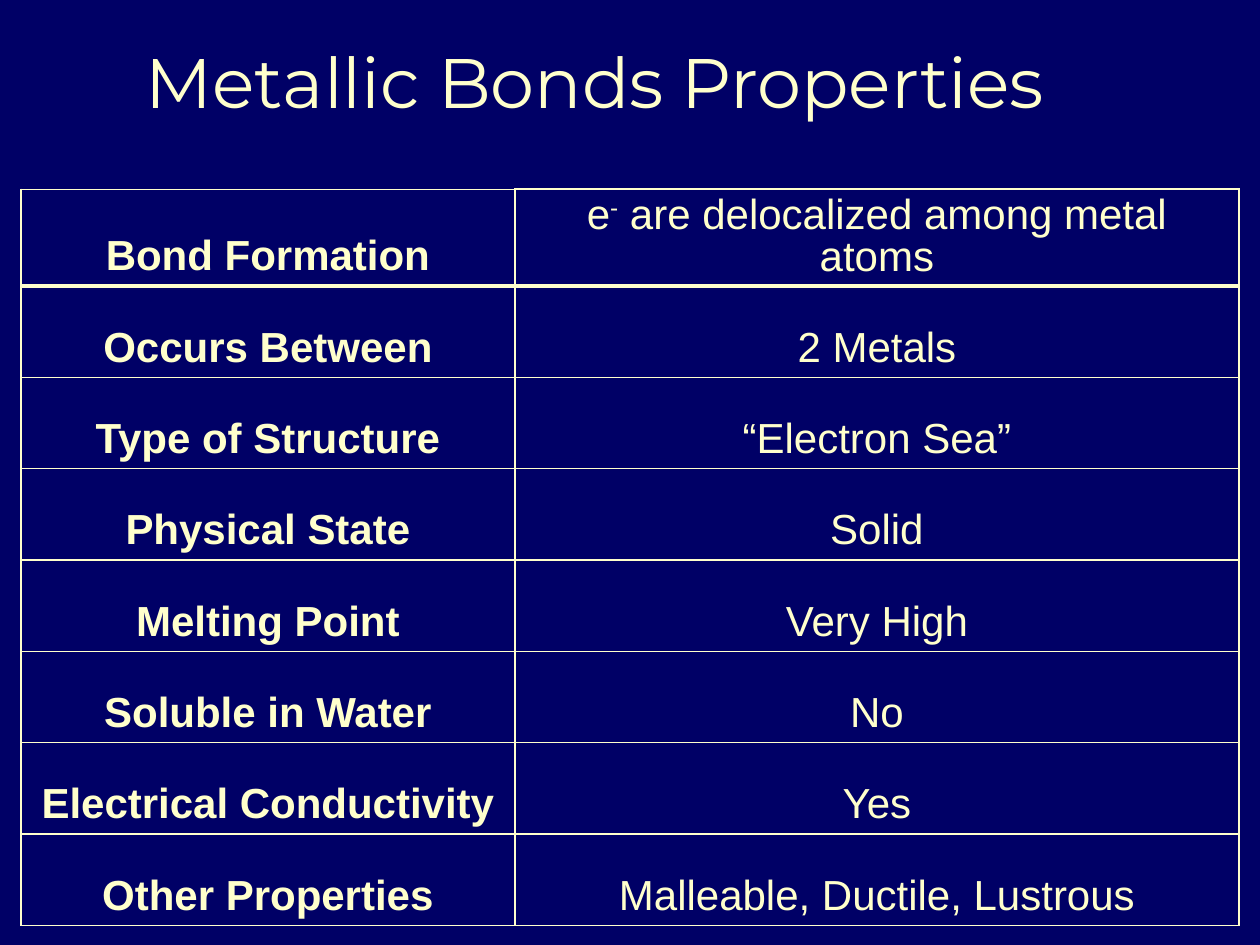
from dataclasses import dataclass

from lxml.etree import SubElement
from pptx import Presentation
from pptx.dml.color import RGBColor
from pptx.enum.text import MSO_ANCHOR, PP_ALIGN
from pptx.oxml.ns import qn
from pptx.util import Inches, Pt


@dataclass(frozen=True)
class Theme:
    background: str = "000066"
    cream: str = "FFFFCC"
    title_font: str = "Montserrat"
    body_font: str = "Arial"
    title_size: int = 40
    body_size: int = 24
    thin: float = 0.5
    line: float = 1
    thick: float = 3


PROPERTIES = [
    ("Bond Formation", ["e", ("-", 30), " are delocalized among metal atoms"]),
    ("Occurs Between", "2 Metals"),
    ("Type of Structure", "“Electron Sea”"),
    ("Physical State", "Solid"),
    ("Melting Point", "Very High"),
    ("Soluble in Water", "No"),
    ("Electrical Conductivity", "Yes"),
    ("Other Properties", "Malleable, Ductile, Lustrous"),
]


def write_text(frame, text, *, font, size, color, bold=False, spacing=None):
    """Write a string, or a list of strings and (string, baseline percent) pairs."""
    frame.word_wrap = True
    frame.vertical_anchor = MSO_ANCHOR.BOTTOM
    paragraph = frame.paragraphs[0]
    paragraph.alignment = PP_ALIGN.CENTER
    if spacing:
        paragraph.line_spacing = spacing
    for part in [text] if isinstance(text, str) else text:
        content, baseline = (part, 0) if isinstance(part, str) else part
        run = paragraph.add_run()
        run.text = content
        run.font.name = font
        run.font.size = Pt(size)
        run.font.bold = bold
        run.font.color.rgb = RGBColor.from_string(color)
        if baseline:
            run._r.get_or_add_rPr().set("baseline", str(baseline * 1000))


def set_borders(cell, color, widths):
    """Draw the left, right, top and bottom borders with the given widths."""
    properties = cell._tc.get_or_add_tcPr()
    for index, (side, width) in enumerate(zip("LRTB", widths)):
        border = SubElement(properties, qn(f"a:ln{side}"), w=str(Pt(width)))
        fill = SubElement(border, qn("a:solidFill"))
        SubElement(fill, qn("a:srgbClr"), val=color)
        properties.insert(index, border)


class SlideBuilder:
    def __init__(self, presentation, theme):
        self.theme = theme
        self.width = presentation.slide_width
        self.height = presentation.slide_height
        self.slide = presentation.slides.add_slide(presentation.slide_layouts[5])
        background = self.slide.background.fill
        background.solid()
        background.fore_color.rgb = RGBColor.from_string(theme.background)

    def place(self, left, top, width, height):
        """Turn percentages of the slide's size into lengths."""
        return [round(share * side / 100) for share, side in
                ((left, self.width), (top, self.height),
                 (width, self.width), (height, self.height))]

    def title(self, text, box):
        shape = self.slide.shapes.title
        shape.left, shape.top, shape.width, shape.height = self.place(*box)
        theme = self.theme
        write_text(shape.text_frame, text, font=theme.title_font,
                   size=theme.title_size, color=theme.cream)
        shape.text_frame.vertical_anchor = MSO_ANCHOR.BOTTOM

    def table(self, rows, box, column_shares):
        theme = self.theme
        area = self.place(*box)
        frame = self.slide.shapes.add_table(len(rows), len(column_shares), *area)
        table = frame.table
        table.first_row = table.horz_banding = False
        for column, share in zip(table.columns, column_shares):
            column.width = round(area[2] * share / sum(column_shares))
        for row_index, row in enumerate(rows):
            for column_index, text in enumerate(row):
                cell = table.cell(row_index, column_index)
                cell.vertical_anchor = MSO_ANCHOR.BOTTOM
                cell.fill.background()
                write_text(cell.text_frame, text, font=theme.body_font,
                           size=theme.body_size, color=theme.cream,
                           bold=column_index == 0,
                           spacing=None if isinstance(text, str) else 0.9)
                cell.vertical_anchor = MSO_ANCHOR.BOTTOM
                top = bottom = theme.line
                if row_index == 0:
                    top = theme.thin if column_index == 0 else theme.line
                    bottom = theme.thick
                elif row_index == 1:
                    top = theme.thick
                set_borders(cell, theme.cream, (theme.line, theme.line, top, bottom))


def main():
    presentation = Presentation()
    presentation.slide_width = Inches(10)
    presentation.slide_height = Inches(7.5)
    builder = SlideBuilder(presentation, Theme())
    builder.title("Metallic Bonds Properties", (5, 2.13, 84.4, 11.47))
    builder.table(PROPERTIES, (1.67, 20, 96.67, 77.33), (3.92, 5.75))
    presentation.save("out.pptx")


if __name__ == "__main__":
    main()
